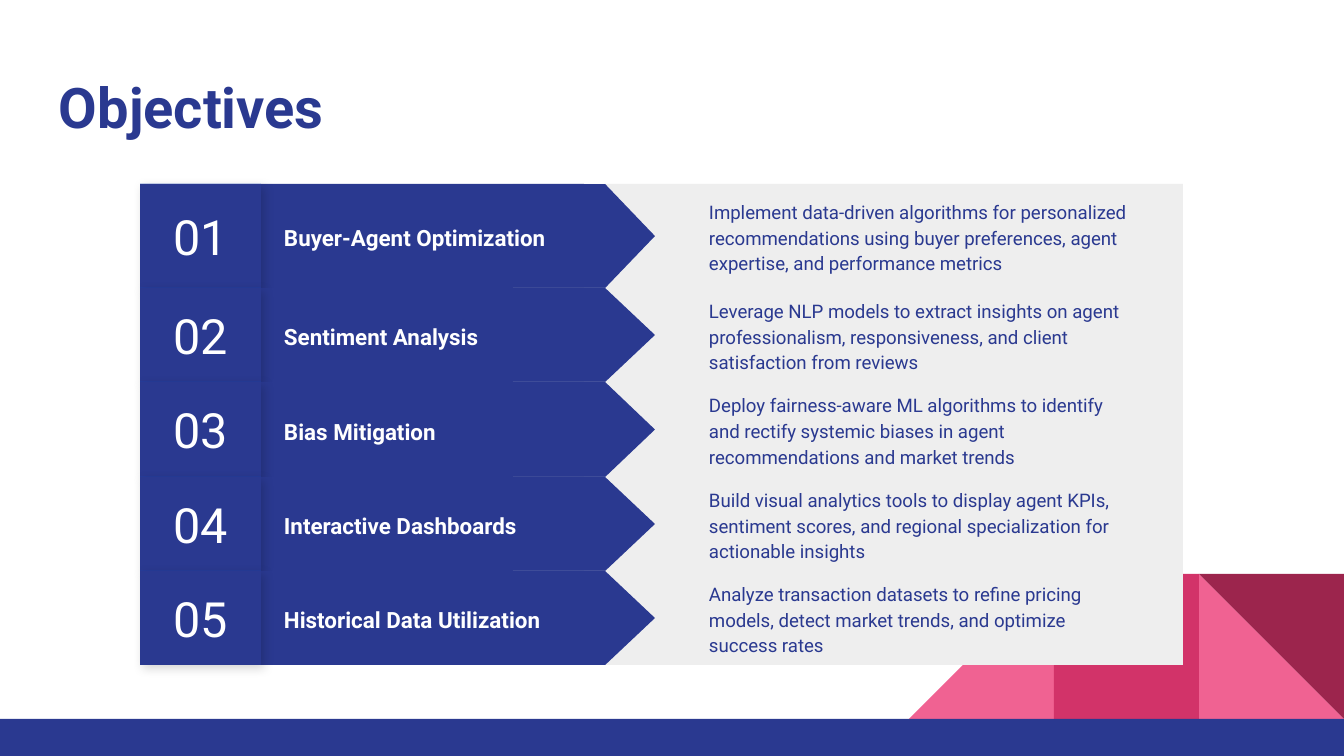
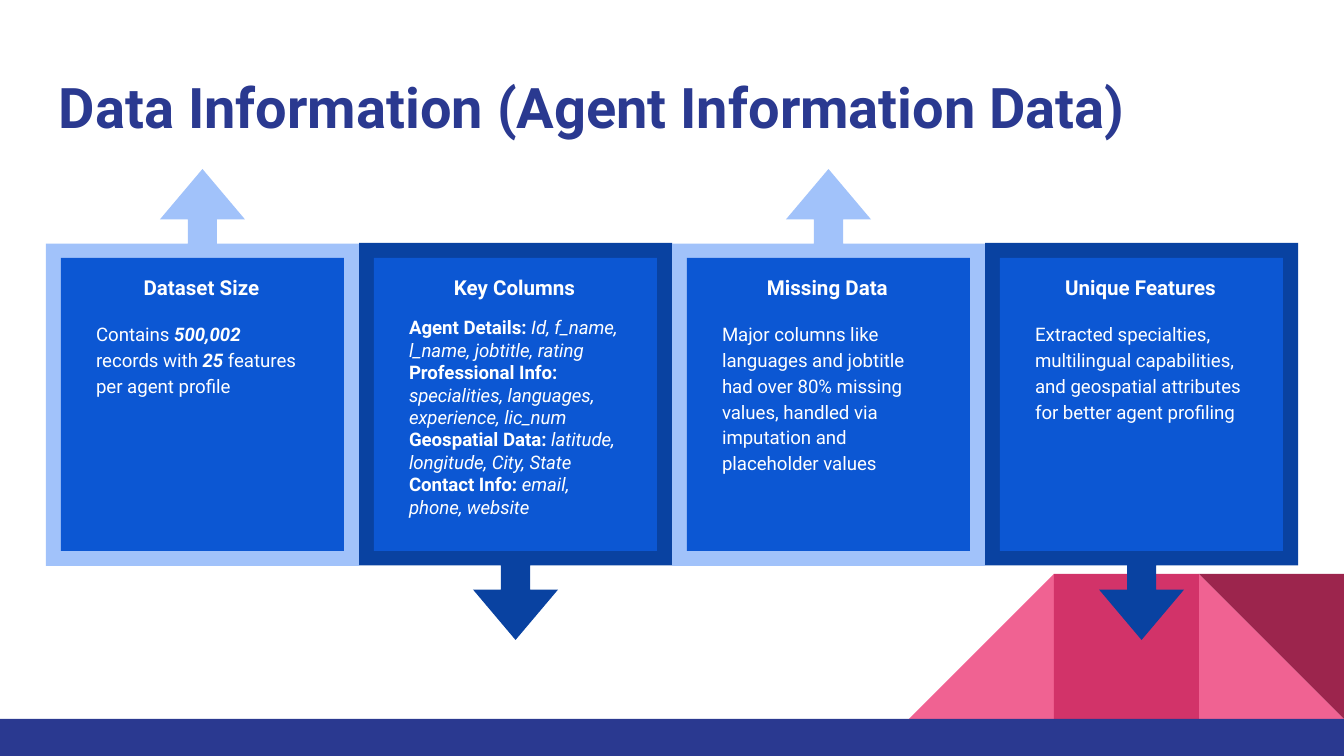
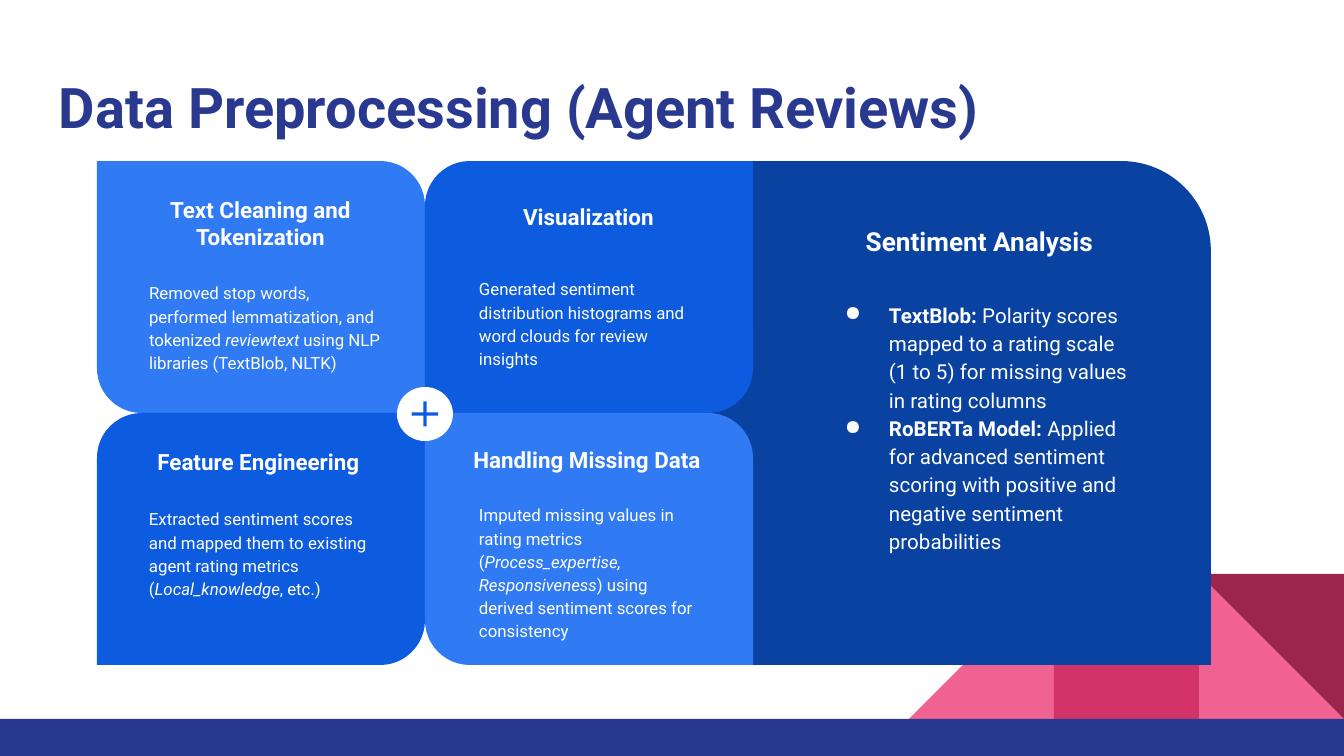
"""Build three slides on agent data: objectives, data information and preprocessing."""
from lxml import etree
from pptx import Presentation
from pptx import util as u
from pptx.dml.color import RGBColor
from pptx.enum import shapes, text
from pptx.oxml.ns import qn

EMU_PER_PX = 914400 / 134.4
SLIDE_SIZE = (1344, 756)
FONT = "Roboto"
INSET = 13
INDENT = 67
HANGING = 44
COLORS = {
    "navy": "2A3990", "white": "FFFFFF", "grey": "EEEEEE", "black": "000000",
    "pink": "F06292", "crimson": "D23369", "wine": "9C254D",
    "deep": "0942A1", "royal": "0C57D3", "bright": "0D5CDF",
    "sky": "307AF3", "pale": "A1C2FA",
}
KIND = shapes.MSO_SHAPE
CENTER = text.PP_ALIGN.CENTER
TOP, MIDDLE = text.MSO_ANCHOR.TOP, text.MSO_ANCHOR.MIDDLE

TITLE_BOX = (46, 60, 1253, 89)
DECORATION = [
    (KIND.RIGHT_TRIANGLE, (1199, 574, 145, 145), "pink", {}),
    (KIND.RIGHT_TRIANGLE, (909, 574, 145, 145), "pink", {"flip": True}),
    (KIND.RECTANGLE, (1054, 574, 145, 145), "crimson", {}),
    (KIND.RIGHT_TRIANGLE, (1199, 574, 145, 145), "wine", {"rotation": 180}),
    (KIND.RECTANGLE, (0, 719, 1344, 37), "navy", {}),
]

OBJECTIVES_TOP = 184
OBJECTIVES = [
    (104, "Buyer-Agent Optimization",
     "Implement data-driven algorithms for personalized recommendations using buyer "
     "preferences, agent expertise, and performance metrics"),
    (94, "Sentiment Analysis",
     "Leverage NLP models to extract insights on agent professionalism, responsiveness, "
     "and client satisfaction from reviews"),
    (95, "Bias Mitigation",
     "Deploy fairness-aware ML algorithms to identify and rectify systemic biases in agent "
     "recommendations and market trends"),
    (94, "Interactive Dashboards",
     "Build visual analytics tools to display agent KPIs, sentiment scores, and regional "
     "specialization for actionable insights"),
    (94, "Historical Data Utilization",
     "Analyze transaction datasets to refine pricing models, detect market trends, and "
     "optimize success rates"),
]

CARD_LEFT, CARD_PITCH = 46, 313
CARDS = [
    ("Dataset Size", 1.15, [
        [("Contains ", ""), ("500,002 ", "bi"), ("records with ", ""), ("25", "bi"),
         (" features per agent profile", "")]]),
    ("Key Columns", None, [
        [("Agent Details: ", "b"), ("Id, f_name, l_name, jobtitle, rating", "i")],
        [("Professional Info: ", "b"),
         ("specialities, languages, experience, lic_num", "i")],
        [("Geospatial Data: ", "b"), ("latitude, longitude, City, State", "i")],
        [("Contact Info:", "b"), (" email, phone, website", "i")]]),
    ("Missing Data", 1.15, [
        "Major columns like languages and jobtitle had over 80% missing values, handled "
        "via imputation and placeholder values"]),
    ("Unique Features", 1.15, [
        "Extracted specialties, multilingual capabilities, and geospatial attributes for "
        "better agent profiling"]),
]

TILE_LEFT, TILE_TOP, TILE_WIDTH, TILE_HEIGHT = 97, 161, 328, 252
TILES = [
    ("Text Cleaning and Tokenization", (138, 183, 245, 74), (136, 267, 262, 120),
     [("Removed stop words, performed lemmatization, and tokenized ", ""),
      ("reviewtext", "i"), (" using NLP libraries (TextBlob, NLTK)", "")]),
    ("Visualization", (466, 190, 245, 74), (466, 263, 245, 124),
     "Generated sentiment distribution histograms and word clouds for review insights"),
    ("Feature Engineering", (136, 435, 245, 65), (136, 493, 245, 138),
     [("Extracted sentiment scores and mapped them to existing agent rating metrics (", ""),
      ("Local_knowledge", "i"), (", etc.)", "")]),
    ("Handling Missing Data", (437, 433, 300, 74), (466, 489, 245, 118),
     [("Imputed missing values in rating metrics (", ""),
      ("Process_expertise, Responsiveness", "i"),
      (") using derived sentiment scores for consistency", "")]),
]
SENTIMENT = [
    [("TextBlob: ", "b"),
     ("Polarity scores mapped to a rating scale (1 to 5) for missing values in rating "
      "columns", "")],
    [("RoBERTa Model: ", "b"),
     ("Applied for advanced sentiment scoring with positive and negative sentiment "
      "probabilities", "")],
]


def px(length):
    """Turn pixels into EMU."""
    return u.Emu(round(length * EMU_PER_PX))


def rgb(name):
    """Look up a named colour."""
    return RGBColor.from_string(COLORS[name])


def add_shape(slide, kind, box, fill, rotation=0, flip=False, adjustments=()):
    """Add a plain filled shape that covers the box once it is rotated."""
    left, top, width, height = box
    if rotation in (90, 270):
        shift = (width - height) / 2
        left, top, width, height = left + shift, top - shift, height, width
    shape = slide.shapes.add_shape(kind, px(left), px(top), px(width), px(height))
    shape.shadow.inherit = False
    shape.fill.solid()
    shape.fill.fore_color.rgb = rgb(fill)
    shape.line.fill.background()
    shape.rotation = rotation
    if flip:
        shape.element.spPr.find(qn("a:xfrm")).set("flipH", "1")
    for index, value in enumerate(adjustments):
        shape.adjustments[index] = value
    return shape


def cast_shadow(shape):
    """Give a shape a soft shadow to its lower right."""
    effects = shape.element.spPr.find(qn("a:effectLst"))
    shadow = etree.SubElement(effects, qn("a:outerShdw"), blurRad=str(u.Pt(5.6)),
                              dist=str(u.Pt(2.2)), dir="2700000", algn="bl")
    color = etree.SubElement(shadow, qn("a:srgbClr"), val=COLORS["black"])
    etree.SubElement(color, qn("a:alpha"), val="17000")


def set_frame(shape, anchor=TOP):
    """Set wrapping, insets and anchor of a shape's text."""
    frame = shape.text_frame
    frame.word_wrap = True
    frame.auto_size = text.MSO_AUTO_SIZE.NONE
    frame.vertical_anchor = anchor
    frame.margin_left = frame.margin_right = px(INSET)
    frame.margin_top = frame.margin_bottom = px(INSET)
    return shape


def add_box(slide, box, anchor=TOP):
    """Add an empty text box."""
    return set_frame(slide.shapes.add_textbox(*map(px, box)), anchor)


def write(shape, content, size, color="white", bold=False, align=text.PP_ALIGN.LEFT,
          spacing=None, after=None, indent=0, bullet=None):
    """Add one paragraph, given as a string or as (text, style) runs."""
    frame = shape.text_frame
    paragraph = frame.add_paragraph() if frame.text else frame.paragraphs[0]
    paragraph.alignment = align
    if spacing:
        paragraph.line_spacing = spacing
    if after:
        paragraph.space_after = u.Pt(after)
    properties = paragraph._p.get_or_add_pPr()
    if indent:
        properties.set("marL", str(px(indent)))
    if bullet:
        properties.set("indent", str(px(-HANGING)))
        bullet_color = etree.SubElement(properties, qn("a:buClr"))
        etree.SubElement(bullet_color, qn("a:srgbClr"), val=COLORS[color])
        etree.SubElement(properties, qn("a:buChar"), char=bullet)
    runs = [(content, "")] if isinstance(content, str) else content
    for words, style in runs:
        run = paragraph.add_run()
        run.text = words
        run.font.name = FONT
        run.font.size = u.Pt(size)
        run.font.bold = bold or "b" in style
        run.font.italic = "i" in style
        run.font.color.rgb = rgb(color)


def add_slide(presentation, title):
    """Add a title-only slide with its title in place."""
    slide = presentation.slides.add_slide(presentation.slide_layouts[5])
    shape = slide.shapes.title
    shape.left, shape.top, shape.width, shape.height = map(px, TITLE_BOX)
    write(set_frame(shape), title, 30, color="navy", bold=True)
    return slide


def decorate_layout(slide):
    """Put the bottom band and triangles on the layout that the slides share."""
    layout = slide.slide_layout
    for placeholder in list(layout.placeholders):
        if placeholder.placeholder_format.type != shapes.PP_PLACEHOLDER.TITLE:
            layout.shapes.element.remove(placeholder.element)
    decorations = [add_shape(slide, kind, box, fill, **turn)
                   for kind, box, fill, turn in DECORATION]
    for shape in decorations:
        layout.shapes.element.append(shape.element)


def fill_objectives(slide):
    """Stack the numbered objectives."""
    top = OBJECTIVES_TOP
    for number, (height, name, detail) in enumerate(OBJECTIVES, 1):
        add_shape(slide, KIND.RECTANGLE, (513, top, 670, height), "grey")
        add_shape(slide, KIND.RECTANGLE, (261, top, 323, height), "navy")
        add_shape(slide, KIND.FLOWCHART_OFFPAGE_CONNECTOR, (406, top, 249, height),
                  "navy", rotation=270)
        label = add_box(slide, (271, top + 11, 340, height - 22), MIDDLE)
        write(label, name, 12, bold=True, spacing=1.15)
        number_box = (140, top, 121, height)
        cast_shadow(add_shape(slide, KIND.RECTANGLE, number_box, "bright"))
        square = set_frame(add_shape(slide, KIND.RECTANGLE, number_box, "navy"), MIDDLE)
        write(square, f"{number:02}", 26, align=CENTER)
        description = add_box(slide, (629, top, 520, height), MIDDLE)
        write(description, detail, 10, color="navy", spacing=1.15, indent=INDENT)
        top += height


def fill_cards(slide):
    """Lay out the cards, with arrows up and down in turn."""
    for index, (heading, spacing, lines) in enumerate(CARDS):
        left = CARD_LEFT + CARD_PITCH * index
        top, fill, rotation = [(169, "pale", 270), (243, "deep", 90)][index % 2]
        add_shape(slide, KIND.RIGHT_ARROW_CALLOUT, (left, top, CARD_PITCH, 397), fill,
                  rotation=rotation, adjustments=(0.093, 0.136, 0.161, 0.812))
        add_shape(slide, KIND.RECTANGLE, (left + 15, 258, 283, 293), "royal")
        body = add_box(slide, (left + 37, 258, 237, 262))
        write(body, heading, 11, bold=True, align=CENTER, spacing=1.15,
              after=11 if spacing else 9)
        for line in lines:
            write(body, line, 10, spacing=spacing)


def fill_preprocessing(slide):
    """Lay out the sentiment panel, the two-by-two tiles and the plus badge."""
    corners = (0, 0.178)
    add_shape(slide, KIND.ROUND_2_DIAG_RECTANGLE, (590, 161, 621, 504), "deep",
              adjustments=corners)
    write(add_box(slide, (809, 212, 341, 54)), "Sentiment Analysis", 14, bold=True,
          align=CENTER)
    models = add_box(slide, (809, 286, 341, 336))
    for model in SENTIMENT:
        write(models, model, 11, spacing=1.15, indent=INDENT, bullet="●")
    for index, (heading, heading_box, body_box, body) in enumerate(TILES):
        row, column = divmod(index, 2)
        odd = row != column
        box = (TILE_LEFT + TILE_WIDTH * column, TILE_TOP + TILE_HEIGHT * row,
               TILE_WIDTH, TILE_HEIGHT)
        add_shape(slide, KIND.ROUND_2_DIAG_RECTANGLE, box, "bright" if odd else "sky",
                  flip=odd, adjustments=corners)
        write(add_box(slide, heading_box), heading, 12, bold=True, align=CENTER)
        write(add_box(slide, body_box), body, 9, spacing=1.15)
    add_shape(slide, KIND.OVAL, (397, 387, 56, 54), "white")
    add_shape(slide, KIND.MATH_PLUS, (407, 397, 36, 34), "bright", adjustments=(0.099,))


def main():
    """Build and save the presentation."""
    presentation = Presentation()
    presentation.slide_width, presentation.slide_height = map(px, SLIDE_SIZE)
    objectives = add_slide(presentation, "Objectives")
    decorate_layout(objectives)
    fill_objectives(objectives)
    fill_cards(add_slide(presentation, "Data Information (Agent Information Data)"))
    fill_preprocessing(add_slide(presentation, "Data Preprocessing (Agent Reviews)"))
    presentation.save("out.pptx")


if __name__ == "__main__":
    main()
